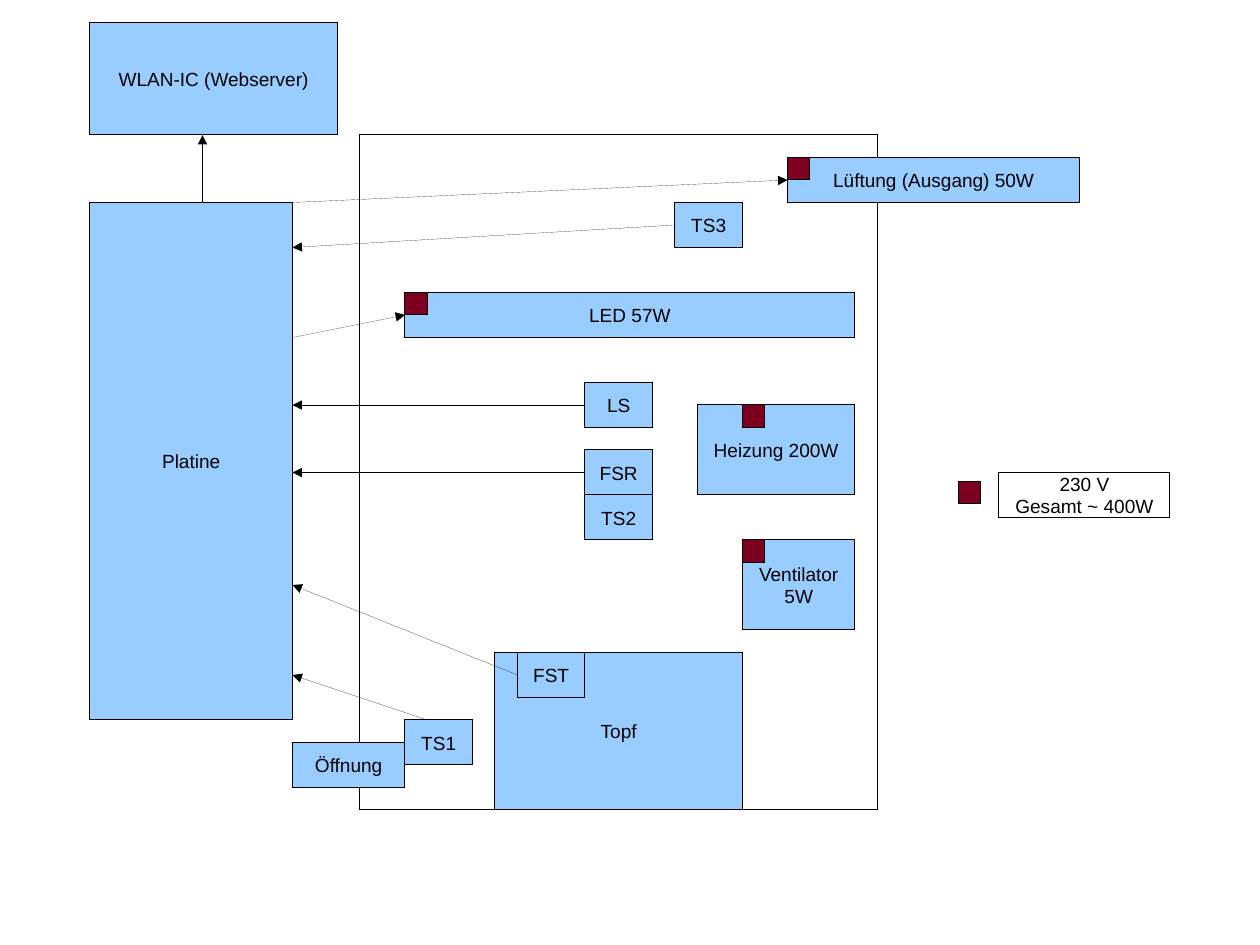
from dataclasses import dataclass

from lxml import etree
from pptx import Presentation
from pptx.dml.color import RGBColor
from pptx.enum.shapes import MSO_CONNECTOR, MSO_SHAPE
from pptx.enum.text import MSO_ANCHOR, PP_ALIGN
from pptx.oxml.ns import qn
from pptx.slide import Slide
from pptx.util import Cm, Pt

RECT = MSO_SHAPE.RECTANGLE
STRAIGHT = MSO_CONNECTOR.STRAIGHT
MIDDLE = MSO_ANCHOR.MIDDLE
CENTER = PP_ALIGN.CENTER


@dataclass(frozen=True)
class Theme:
    box: RGBColor = RGBColor(0x99, 0xCC, 0xFF)
    mains: RGBColor = RGBColor(0x7E, 0x00, 0x21)
    ink: RGBColor = RGBColor(0x00, 0x00, 0x00)
    font: str = "Arial"
    size: Pt = Pt(12)
    hairline: Pt = Pt(0.01)


THEME = Theme()


@dataclass(frozen=True)
class Box:
    x: float
    y: float
    w: float
    h: float
    text: str = ""
    fill: RGBColor | None = THEME.box


@dataclass(frozen=True)
class Arrow:
    x1: float
    y1: float
    x2: float
    y2: float


def sensor(x: float, y: float, text: str) -> Box:
    return Box(x, y, 1.5, 1, text)


def mains_marker(x: float, y: float) -> Box:
    return Box(x, y, 0.5, 0.5, fill=THEME.mains)


BOARD_RIGHT = 6.5

BOXES = [
    Box(2, 4.5, 4.5, 11.5, "Platine"),
    Box(8, 3, 11.5, 15, fill=None),
    Box(17.5, 3.5, 6.5, 1, "Lüftung (Ausgang) 50W"),
    Box(11, 14.5, 5.5, 3.5, "Topf"),
    sensor(11.5, 14.5, "FST"),
    sensor(13, 10, "FSR"),
    sensor(13, 11, "TS2"),
    sensor(15, 4.5, "TS3"),
    Box(9, 6.5, 10, 1, "LED 57W"),
    sensor(13, 8.5, "LS"),
    Box(16.5, 12, 2.5, 2, "Ventilator\n5W"),
    Box(BOARD_RIGHT, 16.5, 2.5, 1, "Öffnung"),
    sensor(9, 16, "TS1"),
    Box(2, 0.5, 5.5, 2.5, "WLAN-IC (Webserver)"),
    Box(15.5, 9, 3.5, 2, "Heizung 200W"),
    Box(22.2, 10.5, 3.8, 1, "230 V\nGesamt ~ 400W", None),
    mains_marker(21.3, 10.7),
    mains_marker(16.5, 12),
    mains_marker(9, 6.5),
    mains_marker(17.5, 3.5),
    mains_marker(16.5, 9),
]

ARROWS = [
    Arrow(15, 5, BOARD_RIGHT, 5.5),
    Arrow(13, 10.5, BOARD_RIGHT, 10.5),
    Arrow(11.5, 15, BOARD_RIGHT, 13),
    Arrow(BOARD_RIGHT, 4.5, 17.5, 4),
    Arrow(13, 9, BOARD_RIGHT, 9),
    Arrow(BOARD_RIGHT, 7.5, 9, 7),
    Arrow(9.5, 16, BOARD_RIGHT, 15),
    Arrow(4.5, 4.5, 4.5, 3),
]


def draw_box(s: Slide, box: Box) -> None:
    sp = s.shapes.add_shape(RECT, Cm(box.x), Cm(box.y), Cm(box.w), Cm(box.h))
    sp.shadow.inherit = False
    if box.fill is None:
        sp.fill.background()
    else:
        sp.fill.solid()
        sp.fill.fore_color.rgb = box.fill
    sp.line.color.rgb = THEME.ink
    sp.line.width = THEME.hairline
    if not box.text:
        return
    tf = sp.text_frame
    tf.text = box.text
    tf.word_wrap = True
    tf.vertical_anchor = MIDDLE
    for p in tf.paragraphs:
        p.alignment = CENTER
        for r in p.runs:
            r.font.name = THEME.font
            r.font.size = THEME.size
            r.font.color.rgb = THEME.ink


def draw_arrow(s: Slide, arrow: Arrow) -> None:
    cxn = s.shapes.add_connector(
        STRAIGHT, Cm(arrow.x1), Cm(arrow.y1), Cm(arrow.x2), Cm(arrow.y2)
    )
    cxn.line.color.rgb = THEME.ink
    cxn.line.width = THEME.hairline
    sp_pr = cxn._element.spPr
    etree.SubElement(sp_pr.find(qn("a:ln")), qn("a:tailEnd"), type="triangle")
    etree.SubElement(sp_pr, qn("a:effectLst"))


def main() -> None:
    prs = Presentation()
    prs.slide_width, prs.slide_height = Cm(28), Cm(21)
    s = prs.slides.add_slide(prs.slide_layouts[6])
    for box in BOXES:
        draw_box(s, box)
    for arrow in ARROWS:
        draw_arrow(s, arrow)
    prs.save("out.pptx")


if __name__ == "__main__":
    main()
